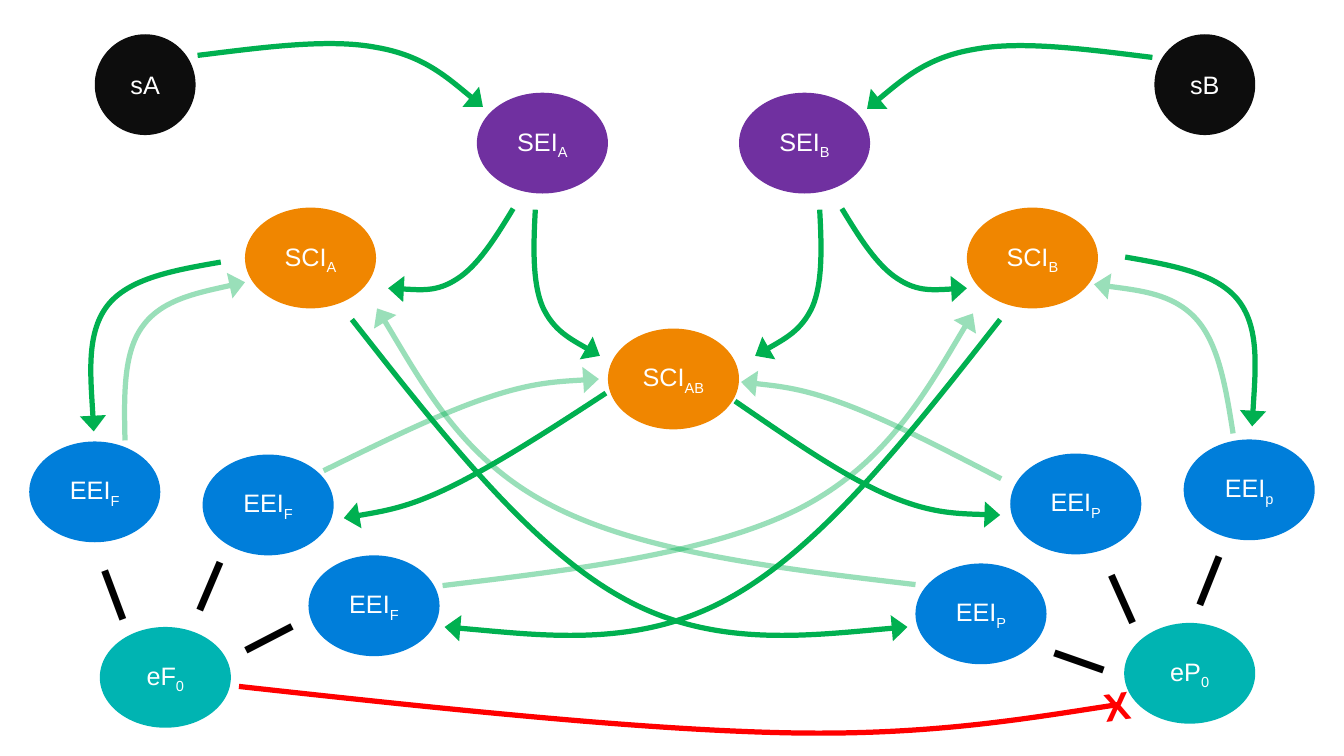
from lxml.etree import SubElement
from pptx import Presentation
from pptx.dml.color import RGBColor
from pptx.enum.shapes import MSO_SHAPE as Shape
from pptx.enum.text import MSO_ANCHOR as Anchor, MSO_AUTO_SIZE as AutoSize, PP_ALIGN as Align
from pptx.oxml.ns import qn
from pptx.util import Inches, Pt

COLORS = {
    "stimulus": "0D0D0D", "sei": "7030A0", "sci": "F08600", "eei": "007EDA",
    "event": "00B4B2", "flow": "00B050", "block": "FF0000",
    "bar": "000000", "label": "FFFFFF",
}


def add_span(para, text, size, color, bold=None):
    span = para.add_run()
    span.text = text
    span.font.name = "Arial"
    span.font.size = Pt(size)
    span.font.bold = bold
    span.font.color.rgb = RGBColor.from_string(COLORS[color])
    return span


def add_curve(points, color, opacity=100, arrow=True):
    """Draw a Bezier path: a start point, then three points per segment."""
    corners = [(Inches(x), Inches(y)) for x, y in points]
    builder = page.shapes.build_freeform(*corners[0])
    builder.add_line_segments(corners[1:], close=False)
    curve = builder.convert_to_shape()
    curve.shadow.inherit = False
    curve.fill.background()
    curve.line.width = Pt(3.75)
    curve.line.color.rgb = RGBColor.from_string(COLORS[color])

    outline = curve.element.find(".//" + qn("a:path"))
    steps = outline.findall(qn("a:lnTo"))
    for first in range(0, len(steps), 3):
        bezier = SubElement(outline, qn("a:cubicBezTo"))
        for step in steps[first:first + 3]:
            bezier.append(step[0])
            outline.remove(step)

    stroke = curve.element.spPr.find(qn("a:ln"))
    if opacity < 100:
        tint = stroke.find(".//" + qn("a:srgbClr"))
        SubElement(tint, qn("a:alpha"), val=str(opacity * 1000))
    if arrow:
        SubElement(stroke, qn("a:tailEnd"), type="triangle", w="lg", len="med")


deck = Presentation()
deck.slide_width, deck.slide_height = Inches(13.33), Inches(7.5)
page = deck.slides.add_slide(deck.slide_layouts[6])

# Nodes: left, top, width, colour, name, subscript
nodes = [
    (0.94, 0.34, 1, "stimulus", "sA", ""),
    (11.45, 0.34, 1, "stimulus", "sB", ""),
    (4.73, 0.92, 1.3, "sei", "SEI", "A"),
    (7.33, 0.92, 1.3, "sei", "SEI", "B"),
    (2.43, 2.06, 1.3, "sci", "SCI", "A"),
    (9.59, 2.06, 1.3, "sci", "SCI", "B"),
    (6.03, 3.26, 1.3, "sci", "SCI", "AB"),
    (0.99, 6.22, 1.3, "event", "eF", "0"),
    (11.15, 6.18, 1.3, "event", "eP", "0"),
    (0.29, 4.38, 1.3, "eei", "EEI", "F"),
    (2.01, 4.51, 1.3, "eei", "EEI", "F"),
    (3.06, 5.51, 1.3, "eei", "EEI", "F"),
    (9.08, 5.59, 1.3, "eei", "EEI", "P"),
    (10.02, 4.5, 1.3, "eei", "EEI", "P"),
    (11.74, 4.36, 1.3, "eei", "EEI", "p"),
]
for left, top, width, color, name, subscript in nodes:
    node = page.shapes.add_shape(
        Shape.OVAL, Inches(left), Inches(top), Inches(width), Inches(1))
    node.shadow.inherit = False
    node.fill.solid()
    node.fill.fore_color.rgb = RGBColor.from_string(COLORS[color])
    node.line.fill.background()
    node.text_frame.vertical_anchor = Anchor.MIDDLE
    para = node.text_frame.paragraphs[0]
    para.alignment = Align.CENTER
    add_span(para, name, 18, "label")
    if subscript:
        span = add_span(para, subscript, 18, "label")
        span.font._element.set("baseline", "-25000")

# Arrows on the A side, each mirrored to the B side: x becomes x_sum - x, y moves by y_shift
mirrored_arrows = [
    (13.39, 0.02, [(1.96, 0.55), (2.61, 0.47), (3.26, 0.38), (3.73, 0.47),
                   (4.2, 0.55), (4.51, 0.83), (4.79, 1.06)]),
    (13.44, 0, [(5.09, 2.07), (4.92, 2.35), (4.74, 2.64), (4.53, 2.77),
                (4.33, 2.9), (4.07, 2.87), (3.85, 2.86)]),
    (13.44, 0, [(5.31, 2.08), (5.29, 2.44), (5.28, 2.8), (5.38, 3.04),
                (5.49, 3.28), (5.74, 3.41), (5.95, 3.53)]),
    (13.35, -0.05, [(2.19, 2.6), (1.73, 2.68), (1.27, 2.76), (1.06, 3.04),
                    (0.85, 3.32), (0.91, 3.85), (0.93, 4.28)]),
    (13.41, 0, [(3.49, 3.17), (4.37, 4.29), (5.25, 5.42), (6.17, 5.93),
                (7.08, 6.44), (8.13, 6.29), (9, 6.22)]),
]
for x_sum, y_shift, points in mirrored_arrows:
    add_curve(points, "flow")
    add_curve([(x_sum - x, y + y_shift) for x, y in points], "flow")

# Single arrows: opacity, points
single_arrows = [
    (100, [(7.29, 3.98), (7.83, 4.35), (8.36, 4.72), (8.8, 4.91),
           (9.24, 5.1), (9.6, 5.1), (9.92, 5.11)]),
    (100, [(6.01, 3.9), (5.46, 4.26), (4.9, 4.62), (4.47, 4.83),
           (4.04, 5.04), (3.7, 5.09), (3.41, 5.14)]),
    (40, [(9.93, 4.75), (9.37, 4.46), (8.81, 4.17), (8.38, 4.01),
          (7.95, 3.85), (7.63, 3.82), (7.35, 3.79)]),
    (40, [(3.21, 4.67), (3.8, 4.38), (4.39, 4.09), (4.85, 3.94),
          (5.3, 3.79), (5.64, 3.78), (5.94, 3.76)]),
    (40, [(4.39, 5.81), (5.72, 5.65), (7.06, 5.49), (7.94, 5.04),
          (8.81, 4.59), (9.25, 3.77), (9.65, 3.11)]),
    (40, [(9.08, 5.8), (7.72, 5.64), (6.37, 5.48), (5.48, 5.02),
          (4.59, 4.57), (4.15, 3.73), (3.74, 3.06)]),
    (40, [(12.23, 4.3), (12.16, 3.86), (12.09, 3.41), (11.86, 3.16),
          (11.63, 2.91), (11.2, 2.87), (10.85, 2.82)]),
    (40, [(1.24, 4.37), (1.23, 3.93), (1.22, 3.49), (1.42, 3.23),
          (1.61, 2.97), (2.07, 2.88), (2.43, 2.8)]),
]
for opacity, points in single_arrows:
    add_curve(points, "flow", opacity)

add_curve([(2.37, 6.81), (4.36, 7.03), (6.35, 7.24), (7.8, 7.27),
           (9.25, 7.3), (10.23, 7.12), (11.09, 6.99)], "block", arrow=False)

# Marks: left, top, width, height, rotation, text, size, colour, bold
bars = [(0.91, 5.32, 339.5), (11.8, 5.27, 21.7), (10.9, 5.36, 335.8),
        (10.38, 5.93, 289.2), (1.89, 5.33, 23.1), (2.43, 5.93, 62.6)]
marks = [(left, top, 0.66, 1.01, turn, "I", 54, "bar", None) for left, top, turn in bars]
marks.append((10.85, 6.71, 0.44, 0.57, 351.8, "X", 28, "block", True))
for left, top, width, height, turn, text, size, color, bold in marks:
    box = page.shapes.add_textbox(Inches(left), Inches(top), Inches(width), Inches(height))
    box.rotation = turn
    box.text_frame.word_wrap = False
    box.text_frame.auto_size = AutoSize.SHAPE_TO_FIT_TEXT
    add_span(box.text_frame.paragraphs[0], text, size, color, bold)

deck.save("out.pptx")
